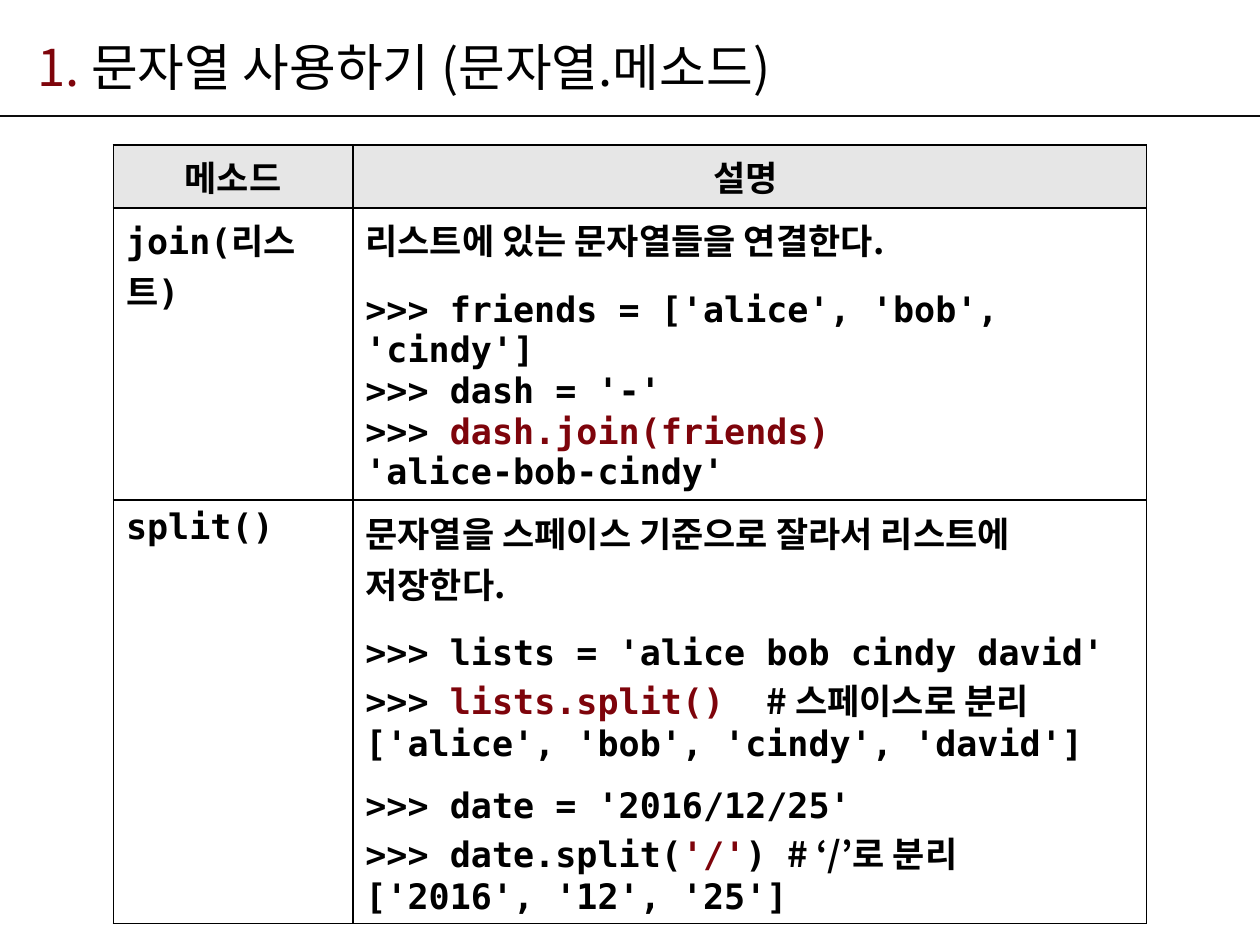
from dataclasses import dataclass

from lxml.etree import SubElement
from pptx import Presentation
from pptx.dml.color import RGBColor
from pptx.enum.shapes import MSO_CONNECTOR
from pptx.enum.text import MSO_ANCHOR, PP_ALIGN
from pptx.oxml.ns import qn
from pptx.util import Inches, Pt


@dataclass(frozen=True)
class Theme:
    sans: str = "Noto Sans CJK KR"
    mono: str = "DejaVu Sans Mono"
    ink: str = "000000"
    accent: str = "7E040B"
    rule: str = "0D0D0D"
    header: str = "E6E6E6"
    paper: str = "FFFFFF"
    title_size: int = 29
    body_size: int = 20


THEME = Theme()


def add_span(para, text, font=THEME.sans, color=THEME.ink, size=THEME.body_size, bold=True):
    span = para.add_run()
    span.text = text
    span.font.size = Pt(size)
    span.font.bold = bold
    span.font.color.rgb = RGBColor.from_string(color)
    span.font.name = font
    SubElement(span.font._element, qn("a:ea"), typeface=font)


def korean(text, **style):
    return text, {"font": THEME.sans, **style}


def code(text, **style):
    return text, {"font": THEME.mono, **style}


def line(*spans, before=0, align=PP_ALIGN.LEFT):
    return spans, before, align


class SlideBuilder:
    """Draw styled elements on one page, with lengths as shares of its size."""

    def __init__(self, width, height, theme):
        self.deck = Presentation()
        self.deck.slide_width, self.deck.slide_height = Inches(width), Inches(height)
        self.page = self.deck.slides.add_slide(self.deck.slide_layouts[6])
        self.theme = theme

    def across(self, share):
        return round(self.deck.slide_width * share)

    def down(self, share):
        return round(self.deck.slide_height * share)

    def fill_text(self, frame, lines):
        frame.word_wrap = True
        for index, (spans, before, align) in enumerate(lines):
            para = frame.add_paragraph() if index else frame.paragraphs[0]
            para.alignment = align
            para.space_before = Pt(before)
            for text, style in spans:
                add_span(para, text, **style)

    def title(self, left, top, width, height, *spans):
        box = self.page.shapes.add_textbox(
            self.across(left), self.down(top), self.across(width), self.down(height))
        box.text_frame.vertical_anchor = MSO_ANCHOR.MIDDLE
        style = {"size": self.theme.title_size, "bold": False}
        self.fill_text(box.text_frame, [line(*((text, {**own, **style}) for text, own in spans))])

    def rule(self, top, weight):
        rule = self.page.shapes.add_connector(
            MSO_CONNECTOR.STRAIGHT, 0, self.down(top), self.across(1), self.down(top))
        rule.line.color.rgb = RGBColor.from_string(self.theme.rule)
        rule.line.width = Pt(weight)
        SubElement(rule._element.spPr, qn("a:effectLst"))

    def border(self, cell, weight):
        properties = cell._tc.get_or_add_tcPr()
        for side in ("lnL", "lnR", "lnT", "lnB"):
            edge = SubElement(properties, qn(f"a:{side}"), w=str(Pt(weight)))
            fill = SubElement(edge, qn("a:solidFill"))
            SubElement(fill, qn("a:srgbClr"), val=self.theme.ink)

    def table(self, left, top, columns, heights, rows):
        table = self.page.shapes.add_table(
            len(rows), len(columns), self.across(left), self.down(top),
            self.across(sum(columns)), self.down(sum(heights))).table
        table.first_row = table.horz_banding = False
        for column, share in zip(table.columns, columns):
            column.width = self.across(share)
        for number, (row, share, cells) in enumerate(zip(table.rows, heights, rows)):
            row.height = self.down(share)
            for cell, lines in zip(row.cells, cells):
                self.border(cell, 1)
                cell.fill.solid()
                cell.fill.fore_color.rgb = RGBColor.from_string(
                    self.theme.paper if number else self.theme.header)
                self.fill_text(cell.text_frame, lines)


def main():
    slide = SlideBuilder(10, 7.5, THEME)
    accent = {"color": THEME.accent}
    prompt = code(">>> ")

    slide.rule(0.92 / 7.5, 1.5)
    slide.title(0.02, 0.03, 0.84, 0.08,
                korean("1. ", **accent), korean("문자열 사용하기 (문자열.메소드)"))

    header = [[line(korean(text), align=PP_ALIGN.CENTER)] for text in ("메소드", "설명 ")]
    join = [
        [line(code("join("), korean("리스트"), code(")"))],
        [line(korean("리스트에 있는 문자열들을 연결한다. ")),
         line(code(">>> friends = ['alice', 'bob', 'cindy']"), before=14),
         line(code(">>> dash = '-' ")),
         line(prompt, code("dash.join(friends)", **accent)),
         line(code("'alice-bob-cindy'"))],
    ]
    split = [
        [line(code("split()"))],
        [line(korean("문자열을 스페이스 기준으로 잘라서 리스트에 저장한다.")),
         line(code(">>> lists = 'alice bob cindy david'"), before=14),
         line(prompt, code("lists.split()  ", **accent), korean("# 스페이스로 분리")),
         line(code("['alice', 'bob', 'cindy', 'david']")),
         line(code(">>> date = '2016/12/25'"), before=12),
         line(code(">>> date.split("), code("'/'", **accent), code(") "),
              korean("# ‘/’로 분리")),
         line(code("['2016', '12', '25']"))],
    ]
    slide.table(0.09, 1.15 / 7.5, (0.19, 0.63), (0.5 / 7.5, 2.32 / 7.5, 3.36 / 7.5),
                (header, join, split))
    slide.deck.save("out.pptx")


if __name__ == "__main__":
    main()
